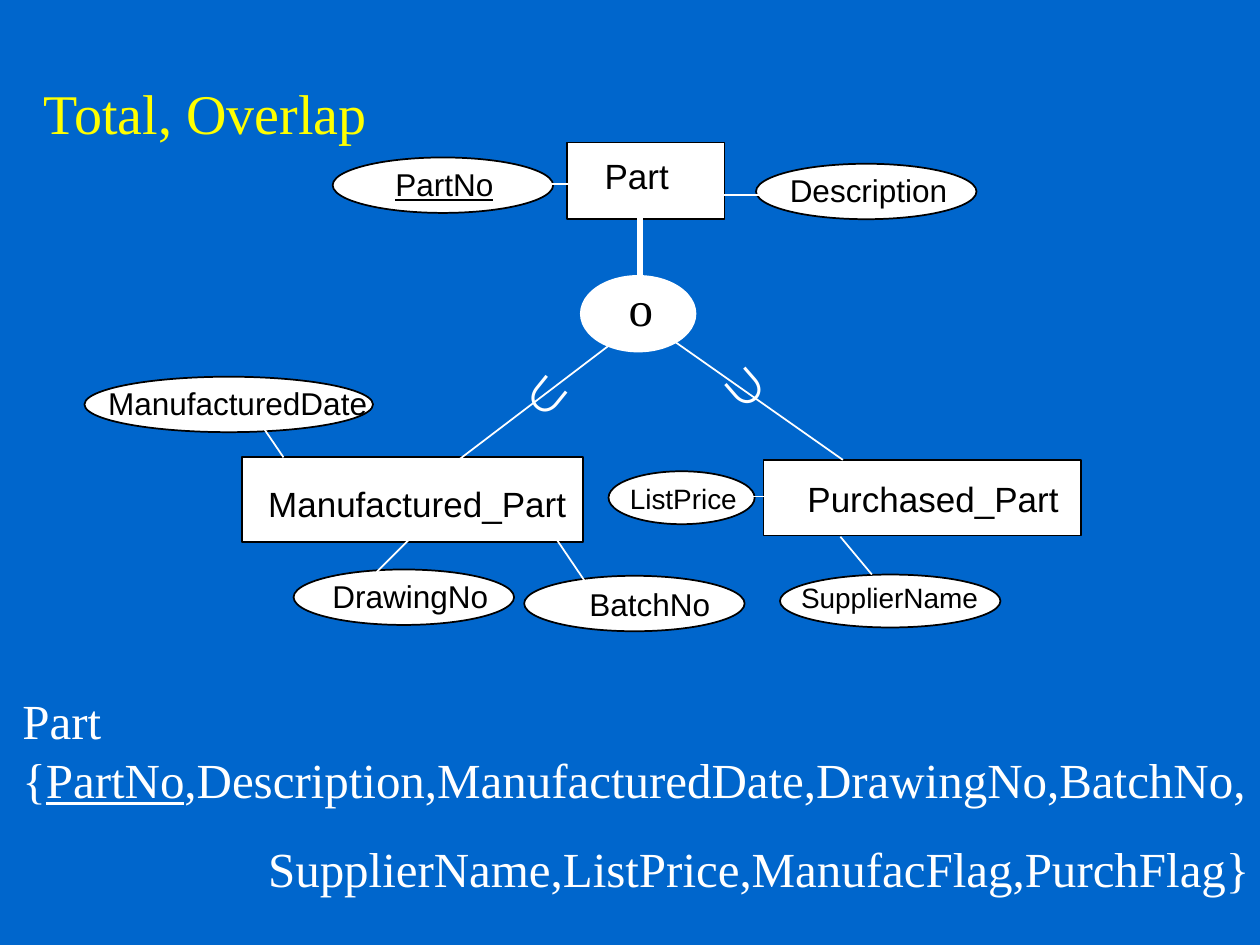
import pptx
import pptx.dml.color
import pptx.enum.shapes
import pptx.enum.text
import pptx.oxml.ns
import pptx.util
from lxml import etree

Inches = pptx.util.Inches
Pt = pptx.util.Pt
SHAPES = pptx.enum.shapes.MSO_SHAPE
ANCHORS = pptx.enum.text.MSO_ANCHOR

BLUE, WHITE, BLACK, YELLOW = "0066CC", "FFFFFF", "000000", "FFFF00"
SANS, SERIF = "Arial", "Times New Roman"

# name, outline box, label box, label size, key attribute
ENTITIES = [
    ("Manufactured_Part", (1.92, 3.63, 2.71, 0.67), (2.03, 3.78, 2.57, 0.43), 20, False),
    ("Purchased_Part", (6.06, 3.65, 2.52, 0.6), (6.31, 3.74, 2.2, 0.43), 20, False),
    ("Part", (4.5, 1.13, 1.25, 0.61), (4.7, 1.18, 0.71, 0.43), 20, False),
]
ATTRIBUTES = [
    ("PartNo", (2.64, 1.25, 1.75, 0.44), (3.04, 1.26, 1, 0.4), 18, True),
    ("Description", (6, 1.3, 1.75, 0.44), (6.17, 1.31, 1.54, 0.4), 18, False),
    ("ManufacturedDate", (0.67, 2.99, 2.29, 0.44), (0.76, 3, 2.27, 0.4), 18, False),
    ("DrawingNo", (2.33, 4.52, 1.75, 0.44), (2.54, 4.53, 1.62, 0.4), 18, False),
    ("BatchNo", (4.16, 4.57, 1.75, 0.44), (4.58, 4.59, 1.27, 0.4), 18, False),
    ("SupplierName", (6.19, 4.56, 1.75, 0.42), (6.26, 4.56, 1.8, 0.36), 16, False),
    ("ListPrice", (4.83, 3.74, 1.16, 0.42), (4.9, 3.77, 1.18, 0.36), 16, False),
]
OVERLAP_CIRCLE = (4.61, 2.19, 0.91, 0.6)
# start, end, width in points
LINES = [
    ((5.08, 1.73), (5.08, 2.49), 3),
    ((5.27, 2.41), (3.6, 3.68), 1),
    ((5.04, 2.49), (6.69, 3.65), 1),
    ((4.33, 1.46), (4.58, 1.46), 1),
    ((6.08, 1.55), (5.67, 1.55), 1),
    ((2.08, 3.38), (2.25, 3.63), 1),
    ((2.99, 4.54), (3.24, 4.29), 1),
    ((4.41, 4.27), (4.66, 4.64), 1),
    ((6.67, 4.26), (6.92, 4.56), 1),
    ((5.91, 3.94), (6.16, 3.94), 1),
]
SUBSET_MARKS = [((5.65, 2.8, 0.6, 0.7), 139), ((3.98, 2.84, 0.6, 0.7), 219)]
# runs (text, underlined), left indent
RELATION = [
    ([("Part {", False), ("PartNo", True),
      (",Description,ManufacturedDate,DrawingNo,BatchNo,", False)], 0),
    ([("SupplierName,ListPrice,ManufacFlag,PurchFlag}", False)], 1.95),
]


def rgb(color):
    return pptx.dml.color.RGBColor.from_string(color)


def inches(values):
    return [Inches(value) for value in values]


def add_outline(slide, kind, box, line_color=BLACK):
    shape = slide.shapes.add_shape(kind, *inches(box))
    shape.shadow.inherit = False
    shape.fill.solid()
    shape.fill.fore_color.rgb = rgb(WHITE)
    shape.line.color.rgb = rgb(line_color)
    shape.line.width = Pt(1)


def add_line(slide, start, end, width):
    line = slide.shapes.add_connector(
        pptx.enum.shapes.MSO_CONNECTOR.STRAIGHT, *inches(start + end))
    line.line.color.rgb = rgb(WHITE)
    line.line.width = Pt(width)
    properties = line._element.spPr
    etree.SubElement(properties, pptx.oxml.ns.qn("a:effectLst"))


def add_run(paragraph, text, size, font, color, underlined=False):
    run = paragraph.add_run()
    run.text = text
    run.font.size = Pt(size)
    run.font.name = font
    run.font.color.rgb = rgb(color)
    if underlined:
        run.font.underline = True


def add_text_box(slide, box, wrap=False, anchor=ANCHORS.TOP):
    text_box = slide.shapes.add_textbox(*inches(box))
    text_box.text_frame.word_wrap = wrap
    text_box.text_frame.vertical_anchor = anchor
    return text_box


def add_label(slide, box, *run_format, wrap=True, anchor=ANCHORS.TOP):
    """Add a text box holding a single run."""
    text_box = add_text_box(slide, box, wrap, anchor)
    add_run(text_box.text_frame.paragraphs[0], *run_format)
    return text_box


def add_relation(slide):
    """Write the relation with its list of attributes."""
    frame = add_text_box(slide, (0.08, 5.43, 10, 1.75), wrap=True).text_frame
    for index, (runs, indent) in enumerate(RELATION):
        paragraph = frame.add_paragraph() if index else frame.paragraphs[0]
        if index:
            paragraph.space_before = Pt(17.5)
            paragraph._p.get_or_add_pPr().set("marL", str(Inches(indent)))
        for text, underlined in runs:
            add_run(paragraph, text, 28, SERIF, WHITE, underlined)


def main():
    presentation = pptx.Presentation()
    presentation.slide_width, presentation.slide_height = Inches(10), Inches(7.5)
    slide = presentation.slides.add_slide(presentation.slide_layouts[6])
    slide.background.fill.solid()
    slide.background.fill.fore_color.rgb = rgb(BLUE)

    add_label(slide, (0.25, 0.25, 3.67, 0.96), "Total, Overlap", 32, SERIF, YELLOW,
              anchor=ANCHORS.BOTTOM)
    for kind, items in ((SHAPES.RECTANGLE, ENTITIES), (SHAPES.OVAL, ATTRIBUTES)):
        for item in items:
            add_outline(slide, kind, item[1])
    add_outline(slide, SHAPES.OVAL, OVERLAP_CIRCLE, WHITE)
    for start, end, width in LINES:
        add_line(slide, start, end, width)

    for name, _, box, size, is_key in ENTITIES + ATTRIBUTES:
        add_label(slide, box, name, size, SANS, BLACK, is_key, wrap=False)
    add_label(slide, (4.89, 2.15, 0.5, 0.57), "o", 28, SERIF, BLACK)
    for box, angle in SUBSET_MARKS:
        add_label(slide, box, "∩", 36, SANS, WHITE, wrap=False).rotation = angle
    add_relation(slide)
    presentation.save("out.pptx")


if __name__ == "__main__":
    main()
